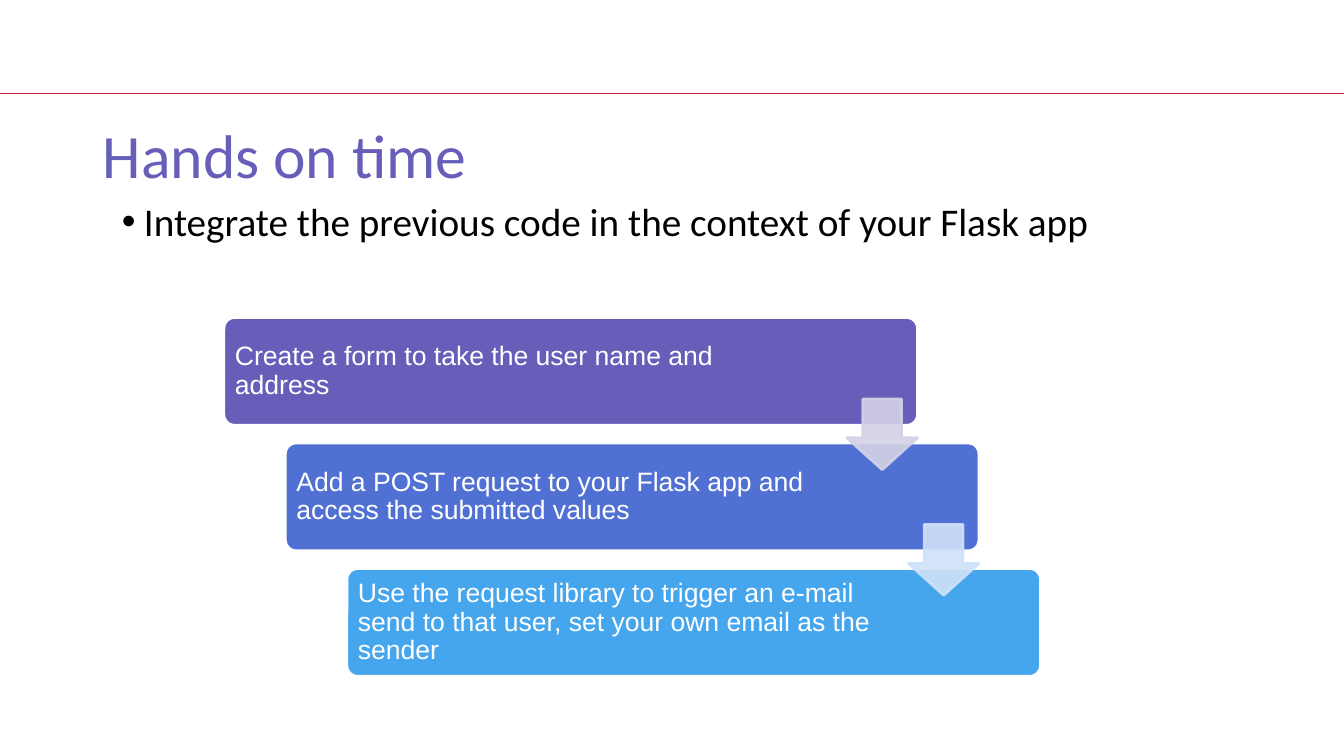
"""Build the slide with three staggered steps for a Flask exercise."""
from dataclasses import dataclass

from lxml import etree
from pptx import Presentation
from pptx.dml.color import RGBColor
from pptx.enum.shapes import MSO_CONNECTOR, MSO_SHAPE
from pptx.enum.text import MSO_ANCHOR, MSO_AUTO_SIZE, PP_ALIGN
from pptx.oxml.ns import qn
from pptx.shapes.autoshape import Shape
from pptx.slide import Slide
from pptx.text.text import TextFrame
from pptx.util import Inches, Pt

ROUND = MSO_SHAPE.ROUNDED_RECTANGLE
ARROW = MSO_SHAPE.DOWN_ARROW
LINE = MSO_CONNECTOR.STRAIGHT
MIDDLE = MSO_ANCHOR.MIDDLE
TOP = MSO_ANCHOR.TOP
LEFT = PP_ALIGN.LEFT
FIXED = MSO_AUTO_SIZE.NONE


@dataclass(frozen=True)
class Theme:
    head: str = "665EB8"
    ink: str = "000000"
    white: str = "FFFFFF"
    rule: str = "C7213F"
    font: str = "Calibri"
    step_font: str = "Arial"
    head_size: float = 44
    body_size: float = 28
    step_size: float = 19
    edge: float = 2
    thin: float = 0.75


@dataclass(frozen=True)
class Step:
    text: str
    fill: str
    width: float
    arrow: str = ""


THEME = Theme()
STEPS = [
    Step("Create a form to take the user name and address",
         "665EB8", 5.72, "D3D2E6"),
    Step("Add a POST request to your Flask app and access the submitted values",
         "5070D4", 5.51, "CFE1F8"),
    Step("Use the request library to trigger an e-mail send to that user, "
         "set your own email as the sender", "45A5ED", 5.51),
]
STEP_X, STEP_Y = 2.22, 3.15
STEP_W, STEP_H = 6.88, 1.07
SHIFT_X, SHIFT_Y = 0.61, 1.245
PAD = 0.03
ARROW_X, ARROW_Y, ARROW_SIZE = 8.4, 3.96, 0.7


def write(frame: TextFrame, text: str, font: str, size: float, color: str,
          inset: float, anchor: MSO_ANCHOR) -> None:
    """Fill a text frame with one left-aligned run."""
    frame.word_wrap = True
    frame.auto_size = FIXED
    frame.vertical_anchor = anchor
    frame.margin_left = frame.margin_right = Inches(inset)
    frame.margin_top = frame.margin_bottom = Inches(inset)
    para = frame.paragraphs[0]
    para.alignment = LEFT
    para.line_spacing = 0.9
    run = para.add_run()
    run.text = text
    run.font.name = font
    run.font.size = Pt(size)
    run.font.color.rgb = RGBColor.from_string(color)


def paint(shape: Shape, fill: str, edge: str) -> None:
    """Set the fill and outline of a shape and drop its shadow."""
    shape.shadow.inherit = False
    shape.fill.solid()
    shape.fill.fore_color.rgb = RGBColor.from_string(fill)
    shape.line.color.rgb = RGBColor.from_string(edge)
    shape.line.width = Pt(THEME.edge)


def add_rule(slide: Slide) -> None:
    """Draw the thin line across the top."""
    rule = slide.shapes.add_connector(
        LINE, 0, Inches(0.93), Inches(13.35), Inches(0.93))
    rule.line.color.rgb = RGBColor.from_string(THEME.rule)
    rule.line.width = Pt(THEME.thin)
    etree.SubElement(rule.element.spPr, qn("a:effectLst"))


def add_title(slide: Slide) -> None:
    """Place and write the title."""
    title = slide.shapes.title
    title.left, title.top = Inches(0.92), Inches(0.85)
    title.width, title.height = Inches(11.5), Inches(1.45)
    write(title.text_frame, "Hands on time", THEME.font, THEME.head_size,
          THEME.head, 0.1, MIDDLE)


def add_body(slide: Slide) -> None:
    """Write the bulleted sentence under the title."""
    body = slide.shapes.add_textbox(
        Inches(0.92), Inches(1.91), Inches(11.5), Inches(5.3))
    write(body.text_frame,
          "Integrate the previous code in the context of your Flask app",
          THEME.font, THEME.body_size, THEME.ink, 0.1, TOP)
    para = body.text_frame.paragraphs[0]
    para.space_before = Pt(10)
    props = para._p.get_or_add_pPr()
    props.set("marL", str(Inches(0.41)))
    props.set("indent", str(Inches(-0.22)))
    font = etree.SubElement(props, qn("a:buFont"))
    font.set("typeface", THEME.step_font)
    etree.SubElement(props, qn("a:buChar")).set("char", "•")


def add_step(slide: Slide, step: Step, x: float, y: float) -> None:
    """Draw one rounded bar and its text."""
    bar = slide.shapes.add_shape(
        ROUND, Inches(x), Inches(y), Inches(STEP_W), Inches(STEP_H))
    bar.adjustments[0] = 0.1
    paint(bar, step.fill, THEME.white)
    label = slide.shapes.add_textbox(
        Inches(x + PAD), Inches(y + PAD),
        Inches(step.width), Inches(STEP_H - 2 * PAD))
    write(label.text_frame, step.text, THEME.step_font, THEME.step_size,
          THEME.white, 0.08, MIDDLE)


def add_arrow(slide: Slide, color: str, x: float, y: float) -> None:
    """Draw one slightly clear arrow between two bars."""
    arrow = slide.shapes.add_shape(
        ARROW, Inches(x), Inches(y), Inches(ARROW_SIZE), Inches(ARROW_SIZE))
    arrow.adjustments[0] = 0.55
    arrow.adjustments[1] = 0.45
    paint(arrow, color, color)
    for tint in arrow.element.spPr.iter(qn("a:srgbClr")):
        etree.SubElement(tint, qn("a:alpha")).set("val", "90000")


def main() -> None:
    """Build and save the deck."""
    deck = Presentation()
    deck.slide_width, deck.slide_height = Inches(13.33), Inches(7.5)
    slide = deck.slides.add_slide(deck.slide_layouts[5])
    add_rule(slide)
    add_title(slide)
    add_body(slide)
    for i, step in enumerate(STEPS):
        add_step(slide, step, STEP_X + i * SHIFT_X, STEP_Y + i * SHIFT_Y)
    for i, step in enumerate(STEPS):
        if step.arrow:
            add_arrow(slide, step.arrow,
                      ARROW_X + i * SHIFT_X, ARROW_Y + i * SHIFT_Y)
    deck.save("out.pptx")


if __name__ == "__main__":
    main()
